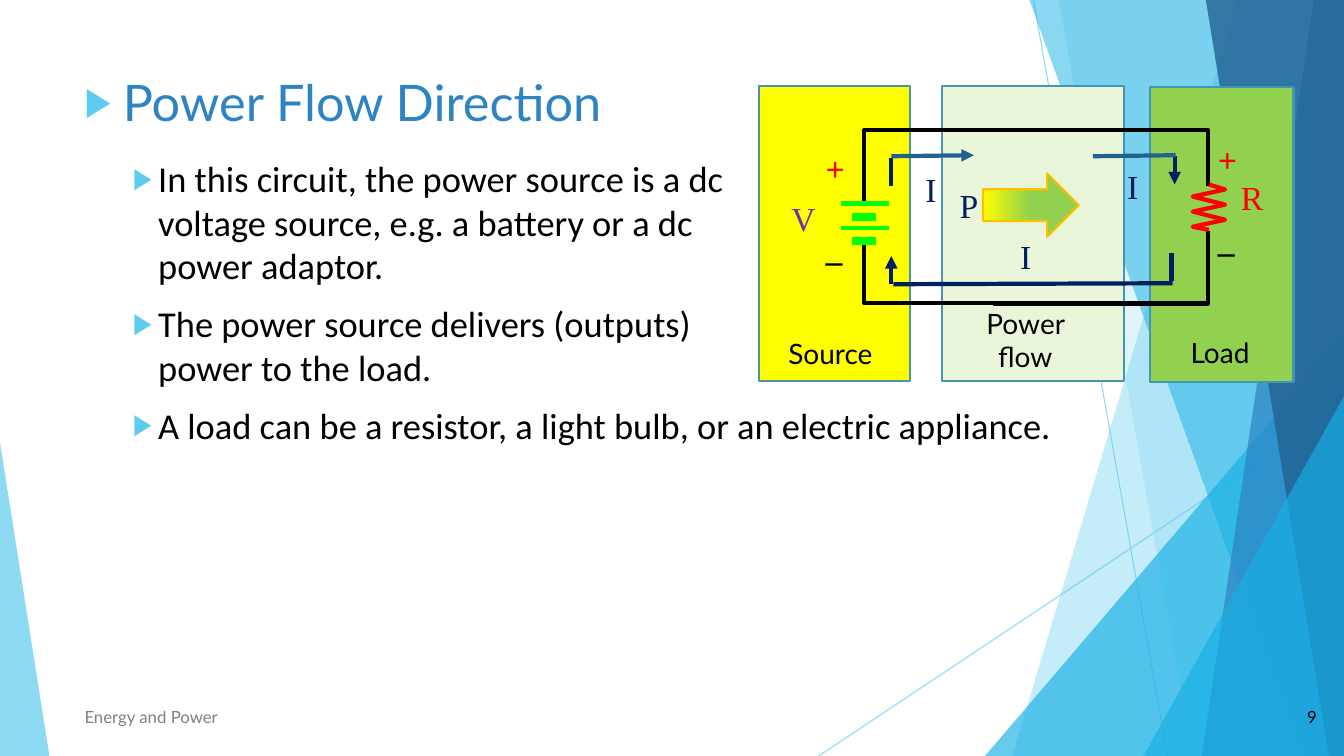
from lxml.etree import SubElement
from pptx import Presentation
from pptx.dml.color import RGBColor
from pptx.enum.shapes import MSO_CONNECTOR, MSO_SHAPE
from pptx.enum.text import MSO_ANCHOR, PP_ALIGN
from pptx.oxml.ns import qn
from pptx.util import Pt

PX = 9144
WIDTH, HEIGHT = 1333, 750
SKY, CYAN, BLUE, STEEL, NAVY = "5FCBEF", "17B0E4", "2E83C3", "226292", "002060"
BLACK, RED, GREEN, YELLOW, LIME = "000000", "FF0000", "00FF00", "FFFF00", "92D050"
SERIF = "Times New Roman"


def rgb(value):
    """Turn a hex string into a colour."""
    return RGBColor.from_string(value)


def set_alpha(shape, percent):
    """Set the opacity of the first colour of a shape."""
    color = shape._element.spPr.find(".//" + qn("a:srgbClr"))
    SubElement(color, qn("a:alpha"), val=str(percent * 1000))


def paint(shape, fill=None, alpha=100, line=None, weight=1.5):
    """Give a shape its fill, opacity and outline."""
    shape.shadow.inherit = False
    if fill:
        shape.fill.solid()
        shape.fill.fore_color.rgb = rgb(fill)
        if alpha < 100:
            set_alpha(shape, alpha)
    else:
        shape.fill.background()
    if line:
        shape.line.color.rgb = rgb(line)
        shape.line.width = Pt(weight)
    else:
        shape.line.fill.background()


def add_preset(slide, kind, box, **style):
    """Add a painted preset shape."""
    shape = slide.shapes.add_shape(kind, *(value * PX for value in box))
    paint(shape, **style)
    return shape


def add_triangle(slide, box, apex, color, alpha):
    """Add a translucent right triangle with its apex at one side."""
    shape = add_preset(slide, MSO_SHAPE.ISOSCELES_TRIANGLE, box, fill=color, alpha=alpha)
    shape.adjustments[0] = apex


def add_outline(slide, points, closed=False, **style):
    """Add a freeform through the given points."""
    builder = slide.shapes.build_freeform(*points[0], scale=PX)
    builder.add_line_segments(points[1:], close=closed)
    paint(builder.convert_to_shape(), **style)


def add_line(slide, start, end, color, weight=3, arrow=False, alpha=100):
    """Add a straight line, with an arrowhead at its end if wanted."""
    connector = slide.shapes.add_connector(
        MSO_CONNECTOR.STRAIGHT, *(value * PX for value in start + end))
    connector.line.color.rgb = rgb(color)
    connector.line.width = Pt(weight)
    if alpha < 100:
        set_alpha(connector, alpha)
    if arrow:
        SubElement(connector.line._get_or_add_ln(), qn("a:tailEnd"), type="triangle")
    SubElement(connector._element.spPr, qn("a:effectLst"))


def add_run(paragraph, text, size, font, color, bold=False):
    """Add one formatted run."""
    run = paragraph.add_run()
    run.text = text
    run.font.size = Pt(size)
    run.font.name = font
    run.font.bold = bold
    run.font.color.rgb = rgb(color)


def add_text(slide, box, text, size, font, color, align=PP_ALIGN.LEFT,
             anchor=MSO_ANCHOR.TOP, fill=None):
    """Add a wrapped text box with one paragraph and return its frame."""
    shape = slide.shapes.add_textbox(*(value * PX for value in box))
    if fill:
        shape.fill.solid()
        shape.fill.fore_color.rgb = rgb(fill)
    frame = shape.text_frame
    frame.word_wrap = True
    frame.vertical_anchor = anchor
    frame.paragraphs[0].alignment = align
    add_run(frame.paragraphs[0], text, size, font, color)
    return frame


def add_bullets(slide, box, texts, size, font, color, margin, hanging, level):
    """Add a text box of paragraphs with triangular bullets."""
    frame = slide.shapes.add_textbox(*(value * PX for value in box)).text_frame
    frame.word_wrap = True
    for index, text in enumerate(texts):
        paragraph = frame.add_paragraph() if index else frame.paragraphs[0]
        paragraph.level = level
        properties = paragraph._p.get_or_add_pPr()
        properties.set("marL", str(margin * PX))
        properties.set("indent", str(-hanging * PX))
        SubElement(SubElement(properties, qn("a:buClr")), qn("a:srgbClr"), val=SKY)
        SubElement(properties, qn("a:buSzPct"), val="80000")
        SubElement(properties, qn("a:buFont"), typeface="Arial")
        SubElement(properties, qn("a:buChar"), char="▶")
        paragraph.space_before = Pt(10 if index else 0)
        add_run(paragraph, text, size, font, color)


def add_polarity(slide, left, top):
    """Add a plus sign above a minus sign."""
    frame = add_text(slide, (left, top, 39, 131), "+", 24, SERIF, RED)
    frame.paragraphs[0].runs[0].font.bold = True
    minus = frame.add_paragraph()
    minus.space_before = Pt(28)
    add_run(minus, "_", 24, SERIF, BLACK, bold=True)


def add_background(slide):
    """Draw the translucent facets at both edges."""
    add_line(slide, (1025, 0), (1158, HEIGHT), SKY, 0.75, alpha=70)
    add_line(slide, (WIDTH, 403), (812, HEIGHT), SKY, 0.75, alpha=70)

    def add_facet(top, bottom, color, alpha):
        """Add a facet that reaches the right edge."""
        points = [(top, 0), (WIDTH, 0), (WIDTH, HEIGHT), (bottom, HEIGHT)]
        add_outline(slide, points, closed=True, fill=color, alpha=alpha)

    add_facet(1228, 1004, SKY, 36)
    add_facet(1050, 1183, SKY, 20)
    add_triangle(slide, (977, 333, 356, 417), 1, CYAN, 66)
    add_facet(1021, 1291, CYAN, 50)
    add_facet(1303, 1192, BLUE, 70)
    add_facet(1196, 1318, STEEL, 80)
    add_triangle(slide, (1134, 393, 199, 357), 1, CYAN, 66)
    add_triangle(slide, (0, 439, 49, 311), 0, SKY, 70)


def add_panel(slide, box, label_box, label, color, align=PP_ALIGN.LEFT):
    """Add a coloured panel with its label."""
    add_preset(slide, MSO_SHAPE.RECTANGLE, box, fill=color, line="4696B1")
    add_text(slide, label_box, label, 20, "Lato", BLACK, align, fill=color)


def add_power_arrow(slide):
    """Add the block arrow of the power flow."""
    arrow = add_preset(slide, MSO_SHAPE.RIGHT_ARROW, (975, 172, 95, 63), line="FFC000")
    arrow.fill.gradient()
    arrow.fill.gradient_angle = 0
    for stop, position, color in zip(arrow.fill.gradient_stops, (0, 0.5), (YELLOW, LIME)):
        stop.position = position
        stop.color.rgb = rgb(color)
    add_text(slide, (942, 179, 58, 50), "P", 24, SERIF, NAVY)


def add_circuit(slide):
    """Draw the wires, battery, resistor, currents and symbols."""
    for wire in ([(857, 202), (857, 129), (1069, 129)],
                 [(1069, 129), (1198, 129), (1198, 185)],
                 [(1198, 229), (1198, 301), (985, 301)],
                 [(985, 301), (857, 301), (857, 241)]):
        add_outline(slide, wire, line=BLACK, weight=3)
    for top in (202, 226):
        add_line(slide, (882, top), (834, top), GREEN)
        add_line(slide, (869, top + 13), (845, top + 13), GREEN, 6)
    zigzag = [(1183 if step % 2 else 1215, round(188 + 7.4 * step)) for step in range(6)]
    add_outline(slide, [(1199, 183), *zigzag, (1199, 228)], line=RED, weight=3)

    add_line(slide, (1165, 155), (1165, 183), NAVY, arrow=True)
    add_line(slide, (1084, 155), (1166, 154), STEEL)
    add_line(slide, (884, 155), (966, 154), STEEL, arrow=True)
    add_line(slide, (886, 282), (1163, 281), NAVY)
    add_line(slide, (884, 185), (884, 157), NAVY)
    add_line(slide, (884, 282), (884, 254), NAVY, arrow=True)
    add_line(slide, (1162, 279), (1162, 251), NAVY)

    add_polarity(slide, 1198, 133)
    add_polarity(slide, 809, 142)
    add_text(slide, (1221, 171, 47, 50), "R", 24, SERIF, RED)
    add_text(slide, (775, 191, 44, 50), "V", 24, SERIF, "7030A0")
    for left, top in ((908, 163), (1108, 160), (1002, 229)):
        add_text(slide, (left, top, 95, 50), "I", 24, SERIF, NAVY)


def main():
    """Build the slide and save it."""
    presentation = Presentation()
    presentation.slide_width = WIDTH * PX
    presentation.slide_height = HEIGHT * PX
    slide = presentation.slides.add_slide(presentation.slide_layouts[6])
    add_background(slide)
    add_panel(slide, (934, 85, 181, 293), (945, 299, 144, 77), "Power flow", "EAF6D9",
              PP_ALIGN.CENTER)
    add_power_arrow(slide)
    add_panel(slide, (753, 85, 150, 293), (772, 329, 119, 44), "Source", YELLOW)
    add_bullets(slide, (74, 66, 1178, 243), ["Power Flow Direction"], 36, "Lato", BLUE, 38, 38, 0)
    body = (26, "Calibri", BLACK, 79, 25, 1)
    add_bullets(slide, (68, 150, 672, 301), [
        "In this circuit, the power source is a dc voltage source, e.g. a battery or a dc power adaptor.",
        "The power source delivers (outputs) power to the load."], *body)
    add_panel(slide, (1141, 86, 142, 293), (1171, 328, 86, 44), "Load", LIME)
    add_circuit(slide)
    add_text(slide, (74, 691, 689, 40), "Energy and Power", 12, "Lato", "808080",
             anchor=MSO_ANCHOR.MIDDLE)
    add_text(slide, (1241, 691, 75, 40), "9", 12, "Lato", BLACK, PP_ALIGN.RIGHT,
             MSO_ANCHOR.MIDDLE)
    add_bullets(slide, (68, 395, 1130, 54), [
        "A load can be a resistor, a light bulb, or an electric appliance."], *body)
    presentation.save("out.pptx")


if __name__ == "__main__":
    main()
